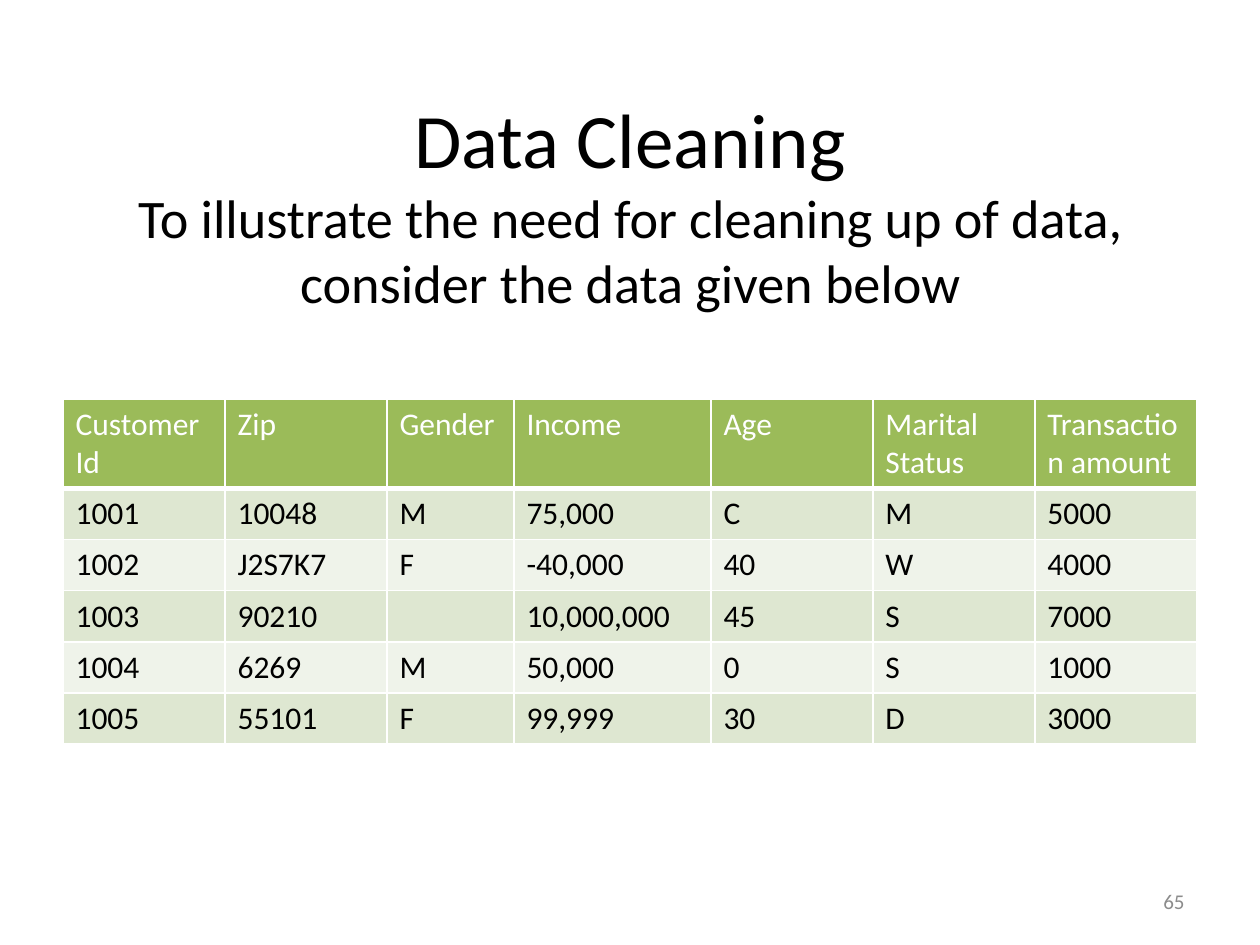
from lxml.etree import SubElement
from pptx import Presentation
from pptx.dml.color import RGBColor
from pptx.enum.text import MSO_ANCHOR, MSO_AUTO_SIZE, PP_ALIGN
from pptx.oxml.ns import qn
from pptx.util import Pt

PX = 914400 / 126
FONT = "Calibri"
COLUMN_WIDTHS = [162, 162, 127, 197, 162, 162, 162]
ROW_HEIGHT = 51
CUSTOMERS = [
    ["Customer Id", "Zip", "Gender", "Income", "Age", "Marital Status", "Transaction amount"],
    ["1001", "10048", "M", "75,000", "C", "M", "5000"],
    ["1002", "J2S7K7", "F", "-40,000", "40", "W", "4000"],
    ["1003", "90210", "", "10,000,000", "45", "S", "7000"],
    ["1004", "6269", "M", "50,000", "0", "S", "1000"],
    ["1005", "55101", "F", "99,999", "30", "D", "3000"],
]


def emu(*lengths):
    return [round(length * PX) for length in lengths]


def color(value):
    return RGBColor.from_string(value)


def style_font(font, size, value):
    font.name = FONT
    font.size = Pt(size)
    font.bold = False
    font.color.rgb = color(value)


def add_title(page, bounds, heading, subtitle):
    title = page.shapes.title
    title.left, title.top, title.width, title.height = emu(*bounds)
    frame = title.text_frame
    frame.text = f"{heading}\v{subtitle}"
    frame.auto_size = MSO_AUTO_SIZE.NONE
    frame.vertical_anchor = MSO_ANCHOR.MIDDLE
    para = frame.paragraphs[0]
    para.alignment = PP_ALIGN.CENTER
    for span, size in zip(para.runs, [44, 31]):
        style_font(span.font, size, "000000")


def add_borders(cell, value, bottom_width):
    properties = cell._tc.get_or_add_tcPr()
    widths = {"a:lnL": 1, "a:lnR": 1, "a:lnT": 1, "a:lnB": bottom_width}
    for tag, width in widths.items():
        line = SubElement(properties, qn(tag), w=str(Pt(width)))
        fill = SubElement(line, qn("a:solidFill"))
        SubElement(fill, qn("a:srgbClr"), val=value)


def fill_cell(cell, text, background, text_color, bottom_width):
    cell.text = text
    style_font(cell.text_frame.paragraphs[0].font, 18, text_color)
    for span in cell.text_frame.paragraphs[0].runs:
        style_font(span.font, 18, text_color)
    add_borders(cell, "FFFFFF", bottom_width)
    cell.fill.solid()
    cell.fill.fore_color.rgb = color(background)


def add_customer_table(page, left, top):
    bounds = emu(left, top, sum(COLUMN_WIDTHS), ROW_HEIGHT * len(CUSTOMERS))
    table = page.shapes.add_table(len(CUSTOMERS), len(COLUMN_WIDTHS), *bounds).table
    for column, width in zip(table.columns, COLUMN_WIDTHS):
        column.width = emu(width)[0]
    for row_index, values in enumerate(CUSTOMERS):
        if row_index == 0:
            look = ("9BBB59", "FFFFFF", 3)
        else:
            look = ("DEE7D1" if row_index % 2 else "EFF3EA", "000000", 1)
        for column_index, text in enumerate(values):
            fill_cell(table.cell(row_index, column_index), text, *look)


def add_page_number(page, bounds, number):
    box = page.shapes.add_textbox(*emu(*bounds))
    frame = box.text_frame
    frame.word_wrap = True
    frame.vertical_anchor = MSO_ANCHOR.MIDDLE
    frame.text = number
    para = frame.paragraphs[0]
    para.alignment = PP_ALIGN.RIGHT
    style_font(para.runs[0].font, 12, "8C8C8C")


def main():
    deck = Presentation()
    deck.slide_width, deck.slide_height = emu(1260, 945)
    page = deck.slides.add_slide(deck.slide_layouts[5])
    add_title(
        page,
        (63, 38, 1134, 330),
        "Data Cleaning",
        "To illustrate the need for cleaning up of data, consider the data given below",
    )
    add_customer_table(page, 63, 399)
    add_page_number(page, (903, 876, 294, 50), "65")
    deck.save("out.pptx")


if __name__ == "__main__":
    main()
